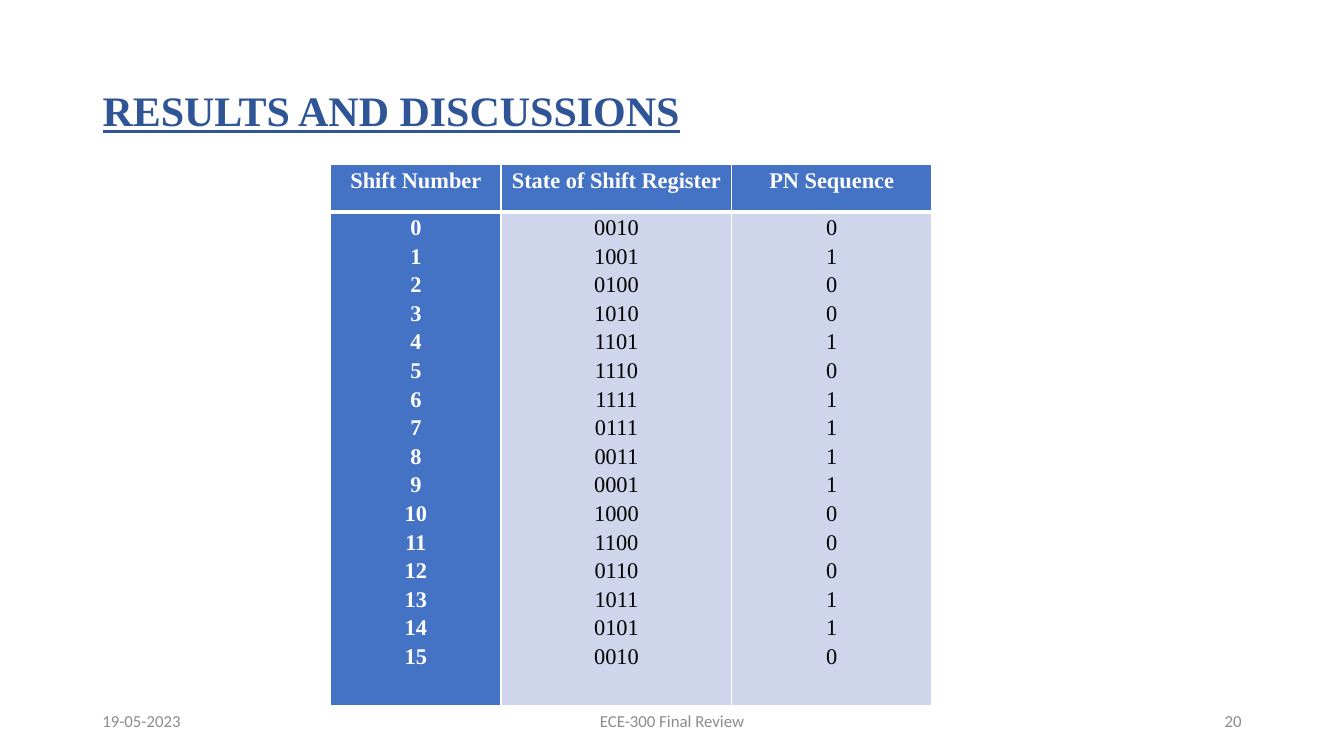
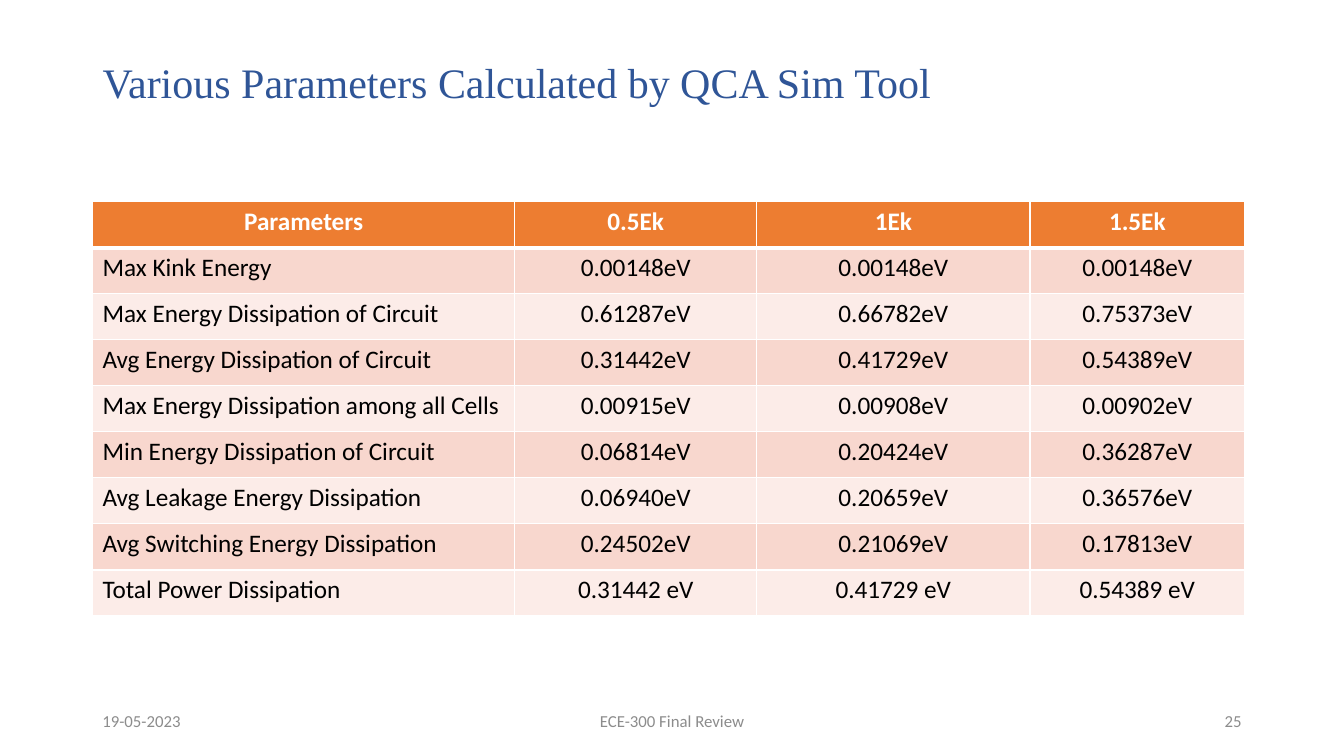
"""Build two result slides: a shift register table and an energy table."""
from lxml import etree
from pptx import Presentation
from pptx.dml.color import RGBColor
from pptx.enum.text import MSO_ANCHOR as Anchor, MSO_AUTO_SIZE as AutoSize, PP_ALIGN as Align
from pptx.oxml.ns import qn
from pptx.util import Inches, Pt

SLIDE_WIDTH, SLIDE_HEIGHT = Inches(13.33), Inches(7.5)
COLORS = {
    "title": "2F5597", "footer": "8C8C8C", "white": "FFFFFF", "black": "000000",
    "blue": "4472C4", "pale_blue": "CFD5EA",
    "orange": "ED7D31", "peach": "F8D7CE", "pale_peach": "FCECE8",
}
SERIF, SANS = "Times New Roman", "Calibri"
MARGIN, CONTENT_WIDTH = 6.88, 86.25
FOOTER_TOP, FOOTER_HEIGHT = 92.67, 5.33

REGISTER_STATES = [
    "0010", "1001", "0100", "1010", "1101", "1110", "1111", "0111",
    "0011", "0001", "1000", "1100", "0110", "1011", "0101", "0010",
]
ENERGY_ROWS = [
    ["Parameters", "0.5Ek", "1Ek", "1.5Ek"],
    ["Max Kink Energy", "0.00148eV", "0.00148eV", "0.00148eV"],
    ["Max Energy Dissipation of Circuit", "0.61287eV", "0.66782eV", "0.75373eV"],
    ["Avg Energy Dissipation of Circuit", "0.31442eV", "0.41729eV", "0.54389eV"],
    ["Max Energy Dissipation among all Cells", "0.00915eV", "0.00908eV", "0.00902eV"],
    ["Min Energy Dissipation of Circuit", "0.06814eV", "0.20424eV", "0.36287eV"],
    ["Avg Leakage Energy Dissipation", "0.06940eV", "0.20659eV", "0.36576eV"],
    ["Avg Switching Energy Dissipation", "0.24502eV", "0.21069eV", "0.17813eV"],
    ["Total Power Dissipation", "0.31442 eV", "0.41729 eV", "0.54389 eV"],
]


def across(percent):
    return round(SLIDE_WIDTH * percent / 100)


def down(percent):
    return round(SLIDE_HEIGHT * percent / 100)


def format_text(text_frame, font, size, color, align=Align.LEFT, bold=False,
                underline=False, spacing=1.0):
    for paragraph in text_frame.paragraphs:
        paragraph.alignment = align
        paragraph.line_spacing = spacing
        for run in paragraph.runs:
            run.font.name = font
            run.font.size = Pt(size)
            run.font.bold = bold
            run.font.underline = underline
            run.font.color.rgb = RGBColor.from_string(COLORS[color])


def add_footer(slide, number):
    parts = [
        ("19-05-2023", MARGIN, 22.5, Align.LEFT),
        ("ECE-300 Final Review", 33.13, 33.75, Align.CENTER),
        (str(number), 70.63, 22.5, Align.RIGHT),
    ]
    for text, left, width, align in parts:
        box = slide.shapes.add_textbox(across(left), down(FOOTER_TOP), across(width), down(FOOTER_HEIGHT))
        box.text_frame.word_wrap = True
        box.text_frame.vertical_anchor = Anchor.MIDDLE
        box.text_frame.text = text
        format_text(box.text_frame, SANS, 12, "footer", align)


def add_titled_slide(presentation, title_text, title_height, number, emphasis=False):
    slide = presentation.slides.add_slide(presentation.slide_layouts[5])
    title = slide.shapes.title
    title.left, title.top = across(MARGIN), down(5.33)
    title.width, title.height = across(CONTENT_WIDTH), down(title_height)
    title.text_frame.text = title_text
    title.text_frame.auto_size = AutoSize.NONE
    title.text_frame.vertical_anchor = Anchor.MIDDLE
    format_text(title.text_frame, SERIF, 30, "title", bold=emphasis, underline=emphasis, spacing=0.9)
    add_footer(slide, number)
    return slide


def set_borders(cell, top, bottom):
    properties = cell._tc.get_or_add_tcPr()
    widths = {"a:lnL": 1, "a:lnR": 1, "a:lnT": top, "a:lnB": bottom}
    for position, (tag, width) in enumerate(widths.items()):
        line = etree.Element(qn(tag), w=str(Pt(width)))
        fill = etree.SubElement(line, qn("a:solidFill"))
        etree.SubElement(fill, qn("a:srgbClr"), val=COLORS["white"])
        properties.insert(position, line)


def add_grid(slide, rows, left, top, widths, heights):
    frame = slide.shapes.add_table(
        len(rows), len(widths), across(left), down(top), across(sum(widths)), down(sum(heights)))
    table = frame.table
    table.horz_banding = False
    for column, width in zip(table.columns, widths):
        column.width = across(width)
    for row, height in zip(table.rows, heights):
        row.height = down(height)
    for row_index, values in enumerate(rows):
        for column_index, value in enumerate(values):
            cell = table.cell(row_index, column_index)
            cell.text_frame.text = value
            set_borders(cell, 3 if row_index == 1 else 1, 3 if row_index == 0 else 1)
    return table


def fill_cell(cell, color):
    cell.fill.solid()
    cell.fill.fore_color.rgb = RGBColor.from_string(COLORS[color])


def add_register_table(slide):
    columns = [
        [str(shift) for shift in range(len(REGISTER_STATES))],
        REGISTER_STATES,
        [state[-1] for state in REGISTER_STATES],
    ]
    rows = [
        ["Shift Number", "State of Shift Register", "PN Sequence"],
        ["\n".join(column) for column in columns],
    ]
    table = add_grid(slide, rows, 24.6, 21.73, [12.68, 17.18, 14.85], [6.27, 60.53])
    for row_index, row in enumerate(table.rows):
        for column_index, cell in enumerate(row.cells):
            heading = row_index == 0 or column_index == 0
            cell.margin_left = cell.margin_right = Inches(0.07)
            cell.margin_top = cell.margin_bottom = 0
            fill_cell(cell, "blue" if heading else "pale_blue")
            format_text(cell.text_frame, SERIF, 16, "white" if heading else "black",
                        Align.CENTER, bold=heading, spacing=1.15)


def add_energy_table(slide):
    table = add_grid(slide, ENERGY_ROWS, MARGIN, 26.67, [31.43, 18, 20.33, 15.98],
                     [6.09] * len(ENERGY_ROWS))
    for row_index, row in enumerate(table.rows):
        heading = row_index == 0
        band = "peach" if row_index % 2 else "pale_peach"
        for column_index, cell in enumerate(row.cells):
            label = column_index == 0 and not heading
            fill_cell(cell, "orange" if heading else band)
            format_text(cell.text_frame, SANS, 18, "white" if heading else "black",
                        Align.JUSTIFY if label else Align.CENTER, bold=heading)


def main():
    presentation = Presentation()
    presentation.slide_width, presentation.slide_height = SLIDE_WIDTH, SLIDE_HEIGHT
    add_register_table(add_titled_slide(
        presentation, "RESULTS AND DISCUSSIONS", 19.33, 20, emphasis=True))
    add_energy_table(add_titled_slide(
        presentation, "Various Parameters Calculated by QCA Sim Tool", 11.73, 25))
    presentation.save("out.pptx")


if __name__ == "__main__":
    main()
